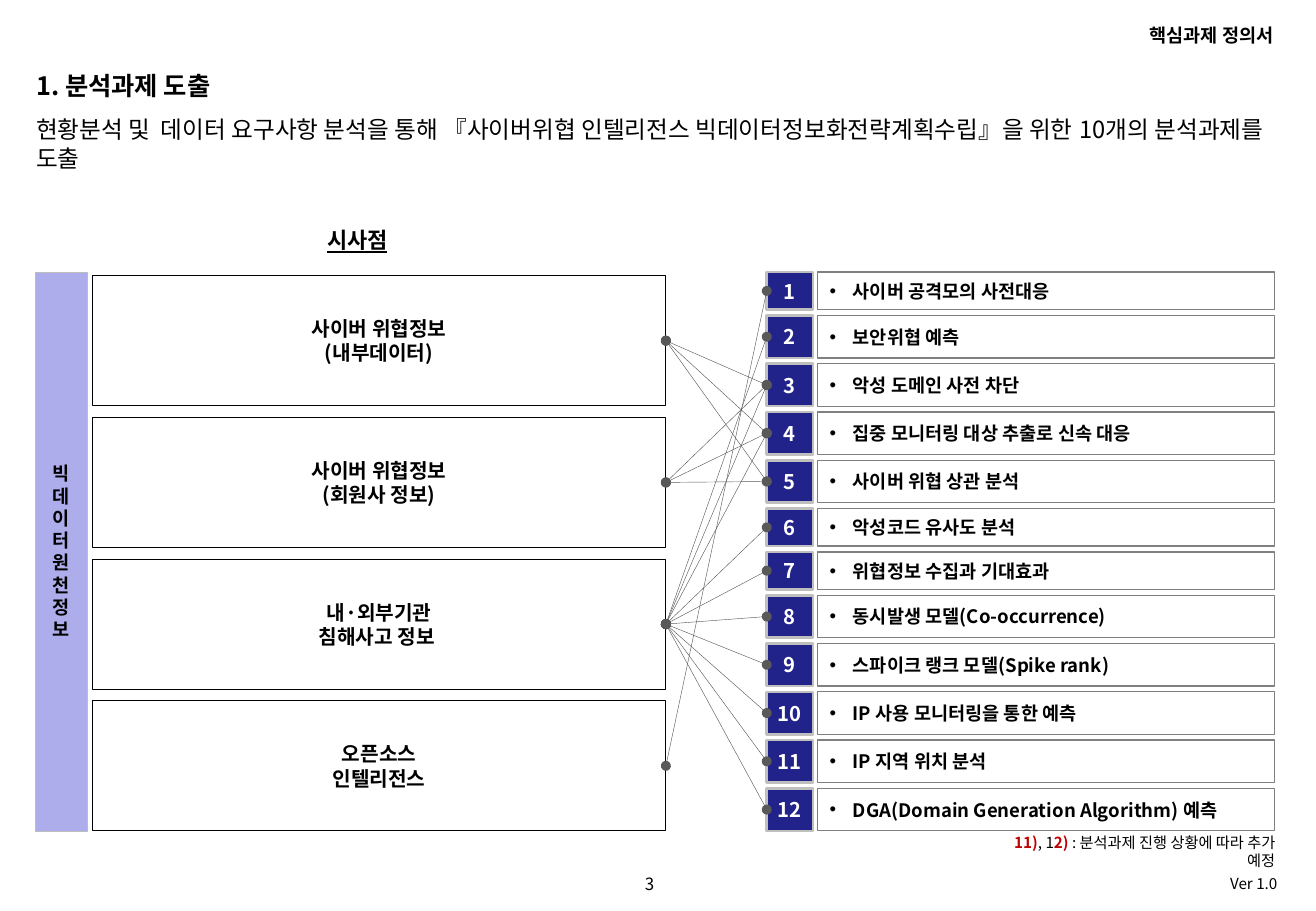
from lxml import etree
from pptx import Presentation
from pptx.dml.color import RGBColor
from pptx.enum.shapes import MSO_CONNECTOR, MSO_SHAPE
from pptx.enum.text import MSO_ANCHOR, PP_ALIGN
from pptx.oxml.ns import qn
from pptx.util import Inches, Pt

RECTANGLE = MSO_SHAPE.RECTANGLE
STRAIGHT = MSO_CONNECTOR.STRAIGHT
TOP, MIDDLE = MSO_ANCHOR.TOP, MSO_ANCHOR.MIDDLE
LEFT, CENTER, RIGHT = PP_ALIGN.LEFT, PP_ALIGN.CENTER, PP_ALIGN.RIGHT
LEFT_SIDE, RIGHT_SIDE = 1, 3
FONT = "Noto Sans CJK KR"
COLORS = {
    "black": "000000", "white": "FFFFFF", "red": "C00000",
    "navy": "22228B", "lavender": "ADADEB",
    "bar_edge": "BDBDBD", "number_edge": "BFBFBF",
    "task_edge": "808080", "link": "595959",
}

deck = Presentation()
deck.slide_width, deck.slide_height = Inches(10.83), Inches(7.5)
page = deck.slides.add_slide(deck.slide_layouts[6])


def write(box, lines, size, align=LEFT, anchor=TOP, bold=True):
    """Fill a box with lines, each a list of (text, colour, bold) or a plain string."""
    frame = box.text_frame
    frame.word_wrap = True
    frame.vertical_anchor = anchor
    for index, line in enumerate(lines):
        para = frame.add_paragraph() if index else frame.paragraphs[0]
        para.alignment = align
        spans = [(line, "black", bold)] if isinstance(line, str) else line
        for text, color, heavy in spans:
            span = para.add_run()
            span.text = text
            span.font.size = Pt(size)
            span.font.bold = heavy
            span.font.name = FONT
            span.font.color.rgb = RGBColor.from_string(COLORS[color])
            east_asian = etree.SubElement(span.font._element, qn("a:ea"))
            east_asian.set("typeface", FONT)
    return frame


def add_box(left, top, width, height, edge, edge_width, fill=None):
    box = page.shapes.add_shape(
        RECTANGLE, Inches(left), Inches(top), Inches(width), Inches(height))
    box.shadow.inherit = False
    box.line.color.rgb = RGBColor.from_string(COLORS[edge])
    box.line.width = Pt(edge_width)
    if fill:
        box.fill.solid()
        box.fill.fore_color.rgb = RGBColor.from_string(COLORS[fill])
    else:
        box.fill.background()
    return box


# Headings, footer and footnote
footnote = [("11)", "red", True), (", 1", "black", False), ("2)", "red", True),
            (" : 분석과제 진행 상황에 따라 추가 예정", "black", False)]
summary = ("현황분석 및  데이터 요구사항 분석을 통해 『사이버위협 인텔리전스 "
           "빅데이터정보화전략계획수립』을 위한 10개의 분석과제를 도출")
for left, top, width, height, line, size, align, bold in [
    (4.88, 7.14, 0.93, 0.27, "3", 10, CENTER, False),
    (6.46, 7.15, 4.15, 0.25, "Ver 1.0", 9, RIGHT, False),
    (7.08, 0.15, 3.5, 0.29, "핵심과제 정의서", 11, RIGHT, True),
    (0.2, 0.53, 8.81, 0.39, "1. 분석과제 도출", 15, LEFT, True),
    (0.2, 0.9, 10.3, 0.7, summary, 14, LEFT, False),
    (8, 6.81, 2.59, 0.25, footnote, 9, RIGHT, False),
]:
    box = page.shapes.add_textbox(Inches(left), Inches(top), Inches(width), Inches(height))
    write(box, [line], size, align, bold=bold)

box = page.shapes.add_textbox(Inches(0.29), Inches(1.78), Inches(5.28), Inches(0.39))
frame = write(box, ["시사점"], 13, CENTER, MIDDLE)
frame.margin_left = Inches(0.12)
frame.paragraphs[0].runs[0].font.underline = True

# Vertical bar
bar = add_box(0.29, 2.24, 0.43, 4.6, "bar_edge", 0.25, "lavender")
frame = write(bar, ["빅데이터 원천 정보"], 11, CENTER, MIDDLE)
frame._txBody.bodyPr.set("vert", "wordArtVertRtl")

# Numbered analysis tasks
tasks = [
    "사이버 공격모의 사전대응", "보안위협 예측", "악성 도메인 사전 차단",
    "집중 모니터링 대상 추출로 신속 대응", "사이버 위협 상관 분석",
    "악성코드 유사도 분석", "위협정보 수집과 기대효과",
    "동시발생 모델(Co-occurrence)", "스파이크 랭크 모델(Spike rank)",
    "IP 사용 모니터링을 통한 예측", "IP 지역 위치 분석",
    "DGA(Domain Generation Algorithm) 예측",
]
SHORT_ROWS = {1, 6, 7}
ROW_GAP = (4.6 - 3 * 0.31 - 9 * 0.35) / 11
numbers = {}
top = 2.24
for number, task in enumerate(tasks, start=1):
    height = 0.31 if number in SHORT_ROWS else 0.35
    task_box = add_box(6.73, top, 3.76, height, "task_edge", 0.75)
    frame = write(task_box, [task], 11, LEFT, MIDDLE)
    properties = frame.paragraphs[0]._p.get_or_add_pPr()
    properties.set("marL", str(Inches(0.19)))
    properties.set("indent", str(-Inches(0.19)))
    etree.SubElement(properties, qn("a:buFont")).set("typeface", "Arial")
    etree.SubElement(properties, qn("a:buChar")).set("char", "•")

    numbers[number] = add_box(6.31, top, 0.38, height, "number_edge", 1.5, "navy")
    frame = write(numbers[number], [[(str(number), "white", True)]], 12, CENTER, MIDDLE)
    frame.margin_left = frame.margin_right = 0
    top += height + ROW_GAP

# Data sources, each linked to the tasks it feeds
sources = [
    (["사이버 위협정보", "(내부데이터)"], [3, 4, 5]),
    (["사이버 위협정보", "(회원사 정보)"], [3, 4, 5]),
    (["내·외부기관", "침해사고 정보 "], [2, 3, 4, 6, 7, 8, 9, 10, 11, 12]),
    (["오픈소스", "인텔리전스"], [1]),
]
for index, (lines, linked_tasks) in enumerate(sources):
    source = add_box(0.76, 2.27 + index * 3.5 / 3, 4.72, 1.07, "black", 0.5)
    write(source, lines, 12, CENTER, MIDDLE)
    for number in linked_tasks:
        link = page.shapes.add_connector(STRAIGHT, 0, 0, 0, 0)
        link.begin_connect(source, RIGHT_SIDE)
        link.end_connect(numbers[number], LEFT_SIDE)
        link.line.color.rgb = RGBColor.from_string(COLORS["link"])
        link.line.width = Pt(0.25)
        for end in ("a:headEnd", "a:tailEnd"):
            etree.SubElement(link.line._ln, qn(end)).set("type", "oval")
        etree.SubElement(link._element.spPr, qn("a:effectLst"))

deck.save("out.pptx")
